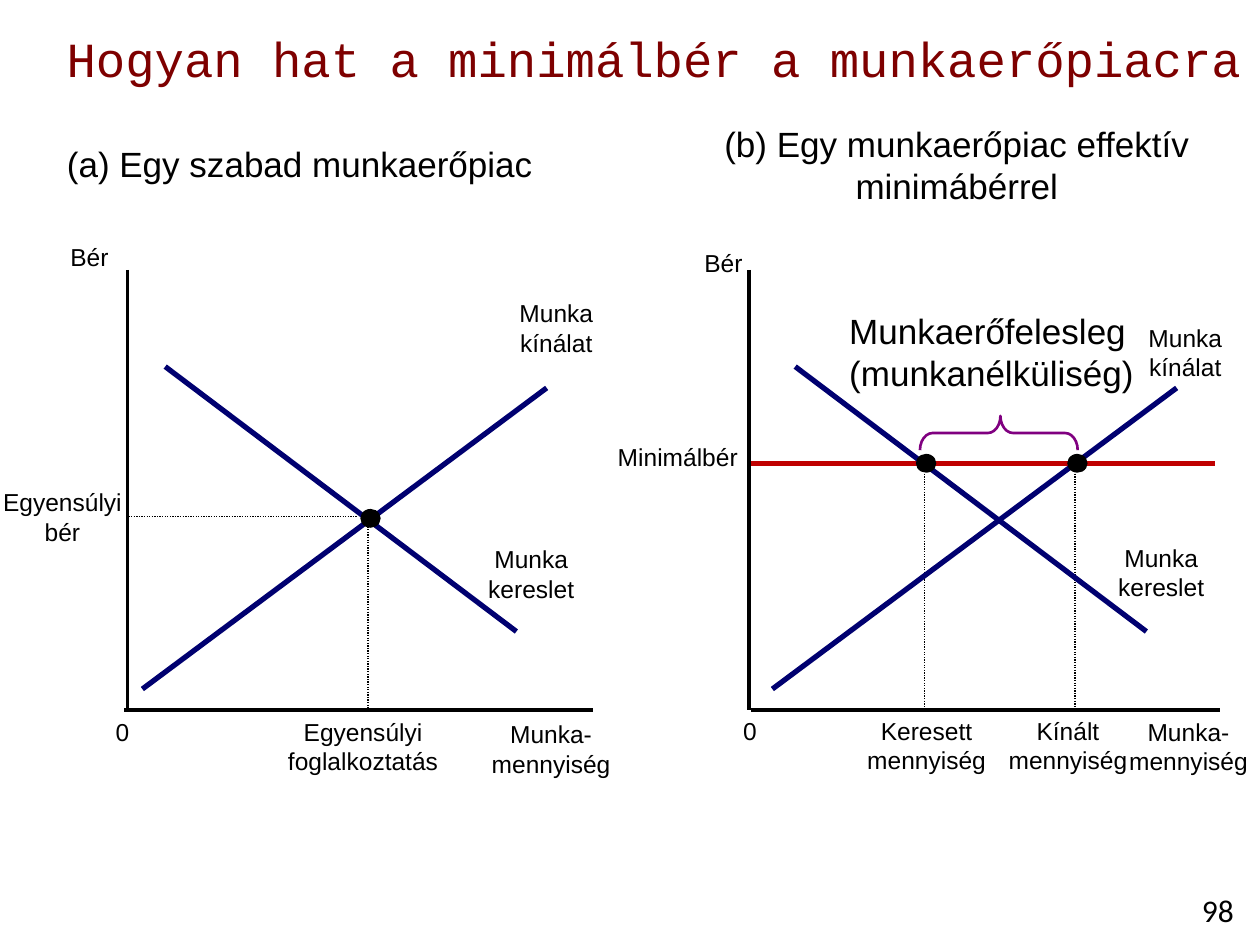
from dataclasses import dataclass

from lxml.etree import SubElement
from pptx import Presentation
from pptx.dml.color import RGBColor
from pptx.enum.dml import MSO_LINE
from pptx.enum.shapes import MSO_CONNECTOR, MSO_SHAPE
from pptx.enum.text import MSO_ANCHOR, MSO_AUTO_SIZE, PP_ALIGN
from pptx.oxml.ns import qn
from pptx.util import Cm, Pt


@dataclass(frozen=True)
class Theme:
    ink: str = "000000"
    title: str = "7E0000"
    curve: str = "000070"
    wage: str = "C00000"
    brace: str = "800080"
    title_font: str = "Courier New"
    body_font: str = "Arial"
    number_font: str = "Calibri"
    title_size: int = 28
    caption_size: int = 20
    number_size: int = 18
    label_size: int = 14
    axis_width: float = 2.25
    curve_width: float = 3
    brace_width: float = 1.5
    guide_width: float = 0.75


T = Theme()
LEFT, CENTER, RIGHT = PP_ALIGN.LEFT, PP_ALIGN.CENTER, PP_ALIGN.RIGHT

# All positions are in centimetres.
TITLE = "Hogyan hat a minimálbér a munkaerőpiacra"
CAPTIONS = [  # text, left, top, width, height
    ("(a) Egy szabad munkaerőpiac", 0.1, 2.74, 11.89, 1.27),
    ("(b) Egy munkaerőpiac effektív minimábérrel", 13.13, 2.34, 12.32, 1.75),
]
SURPLUS = ("Munkaerőfelesleg (munkanélküliség)", 16.87, 6.12, 6.3, 1.96)
PAGE = ("98", 23.7, 17.83, 1.7, 1.02)

LABELS = [  # text, left, top, width, alignment
    ("Bér", 1.14, 4.75, 1.3, RIGHT),
    ("Munka\nkínálat", 10.21, 5.89, 2.01, CENTER),
    ("Munka\nkereslet", 9.58, 10.85, 2.26, CENTER),
    ("Egyensúlyi\nbér", -0.2, 9.7, 2.92, CENTER),
    ("0", 2.08, 14.33, 0.79, LEFT),
    ("Egyensúlyi\nfoglalkoztatás", 5.54, 14.33, 3.56, CENTER),
    ("Munka-\nmennyiség", 9.65, 14.38, 2.92, CENTER),
    ("Bér", 13.92, 4.88, 1.3, RIGHT),
    ("Munka\nkínálat", 22.89, 6.38, 2.01, CENTER),
    ("Munka\nkereslet", 22.28, 10.82, 2.26, CENTER),
    ("Minimálbér", 12.19, 8.79, 2.95, CENTER),
    ("0", 14.73, 14.3, 0.79, LEFT),
    ("Keresett\nmennyiség", 17.22, 14.3, 2.92, CENTER),
    ("Kínált\nmennyiség", 20.07, 14.3, 2.92, CENTER),
    ("Munka-\nmennyiség", 22.5, 14.33, 2.92, CENTER),
]
LABEL_HEIGHT = {1: 0.86, 2: 1.45}  # by number of lines

AXIS_TOP, BASE, AXIS_LENGTH = 5.44, 14.32, 9.45
WAGE_Y = 9.34
PANELS = [
    dict(wage_axis=2.57, base_start=2.51, shift=0,
         guides=[(7.42, 10.46, 7.42, BASE), (2.59, 10.41, 7.21, 10.41)],
         dots=[(7.47, 10.45)]),
    dict(wage_axis=15.09, base_start=15.14, shift=12.7,
         guides=[(x, WAGE_Y, x, BASE) for x in (18.64, 21.67)],
         dots=[(18.67, WAGE_Y), (21.72, WAGE_Y)]),
]
DEMAND = (3.33, 7.39, 10.41, 12.73)
SUPPLY = (2.87, 13.89, 11.02, 7.82)
DOT_W, DOT_H = 0.41, 0.38
BRACE = (19.79, 7.14, 0.69, 3.18)


def rgb(color):
    return RGBColor.from_string(color)


def write(s, text, *, size=T.label_size, font=T.body_font, color=T.ink,
          align=CENTER, anchor=MSO_ANCHOR.TOP, wrap=True):
    """Fill a shape with one paragraph per line of text."""
    tf = s.text_frame
    tf.text = text
    tf.auto_size = MSO_AUTO_SIZE.NONE
    tf.word_wrap = wrap
    tf.vertical_anchor = anchor
    for p in tf.paragraphs:
        p.alignment = align
        p.font.size = Pt(size)
        p.font.name = font
        p.font.color.rgb = rgb(color)


def add_text(slide, text, left, top, width, height, **fmt):
    write(slide.shapes.add_textbox(Cm(left), Cm(top), Cm(width), Cm(height)), text, **fmt)


def add_line(slide, ends, color, width, dash=None):
    s = slide.shapes.add_connector(MSO_CONNECTOR.STRAIGHT, *map(Cm, ends))
    s.line.color.rgb = rgb(color)
    s.line.width = Pt(width)
    if dash:
        s.line.dash_style = dash
    SubElement(s.element.spPr, qn("a:effectLst"))


def add_dot(slide, x, y):
    s = slide.shapes.add_shape(MSO_SHAPE.OVAL, Cm(x - DOT_W / 2), Cm(y - DOT_H / 2),
                               Cm(DOT_W), Cm(DOT_H))
    s.shadow.inherit = False
    s.fill.solid()
    s.fill.fore_color.rgb = rgb(T.ink)
    s.line.fill.background()


def add_brace(slide):
    s = slide.shapes.add_shape(MSO_SHAPE.LEFT_BRACE, *map(Cm, BRACE))
    s.rotation = 90
    s.adjustments[0], s.adjustments[1] = 0.37, 0.49
    s.shadow.inherit = False
    s.fill.background()
    s.line.color.rgb = rgb(T.brace)
    s.line.width = Pt(T.brace_width)


def add_panel_lines(slide, panel):
    x, start, shift = panel["wage_axis"], panel["base_start"], panel["shift"]
    add_line(slide, (x, AXIS_TOP, x, BASE), T.ink, T.axis_width)
    add_line(slide, (start, BASE, start + AXIS_LENGTH, BASE), T.ink, T.axis_width)
    for ends in panel["guides"]:
        add_line(slide, ends, T.ink, T.guide_width, MSO_LINE.ROUND_DOT)
    for x1, y1, x2, y2 in (DEMAND, SUPPLY):
        add_line(slide, (x1 + shift, y1, x2 + shift, y2), T.curve, T.curve_width)


def main():
    prs = Presentation()
    prs.slide_width, prs.slide_height = Cm(25.4), Cm(19.05)
    slide = prs.slides.add_slide(prs.slide_layouts[5])

    title = slide.shapes.title
    title.left, title.top, title.width, title.height = map(Cm, (1.09, 0.43, 24.56, 1.47))
    write(title, TITLE, size=T.title_size, font=T.title_font, color=T.title,
          align=LEFT, anchor=MSO_ANCHOR.MIDDLE)

    add_line(slide, (15.09, WAGE_Y, 24.49, WAGE_Y), T.wage, T.curve_width)
    for panel in PANELS:
        add_panel_lines(slide, panel)
        for x, y in panel["dots"]:
            add_dot(slide, x, y)
    add_brace(slide)

    for caption in CAPTIONS:
        add_text(slide, *caption, size=T.caption_size)
    add_text(slide, *SURPLUS, size=T.caption_size, align=LEFT)
    for text, left, top, width, align in LABELS:
        height = LABEL_HEIGHT[len(text.splitlines())]
        add_text(slide, text, left, top, width, height, align=align, wrap=False)
    add_text(slide, *PAGE, size=T.number_size, font=T.number_font,
             anchor=MSO_ANCHOR.MIDDLE)

    prs.save("out.pptx")


if __name__ == "__main__":
    main()
